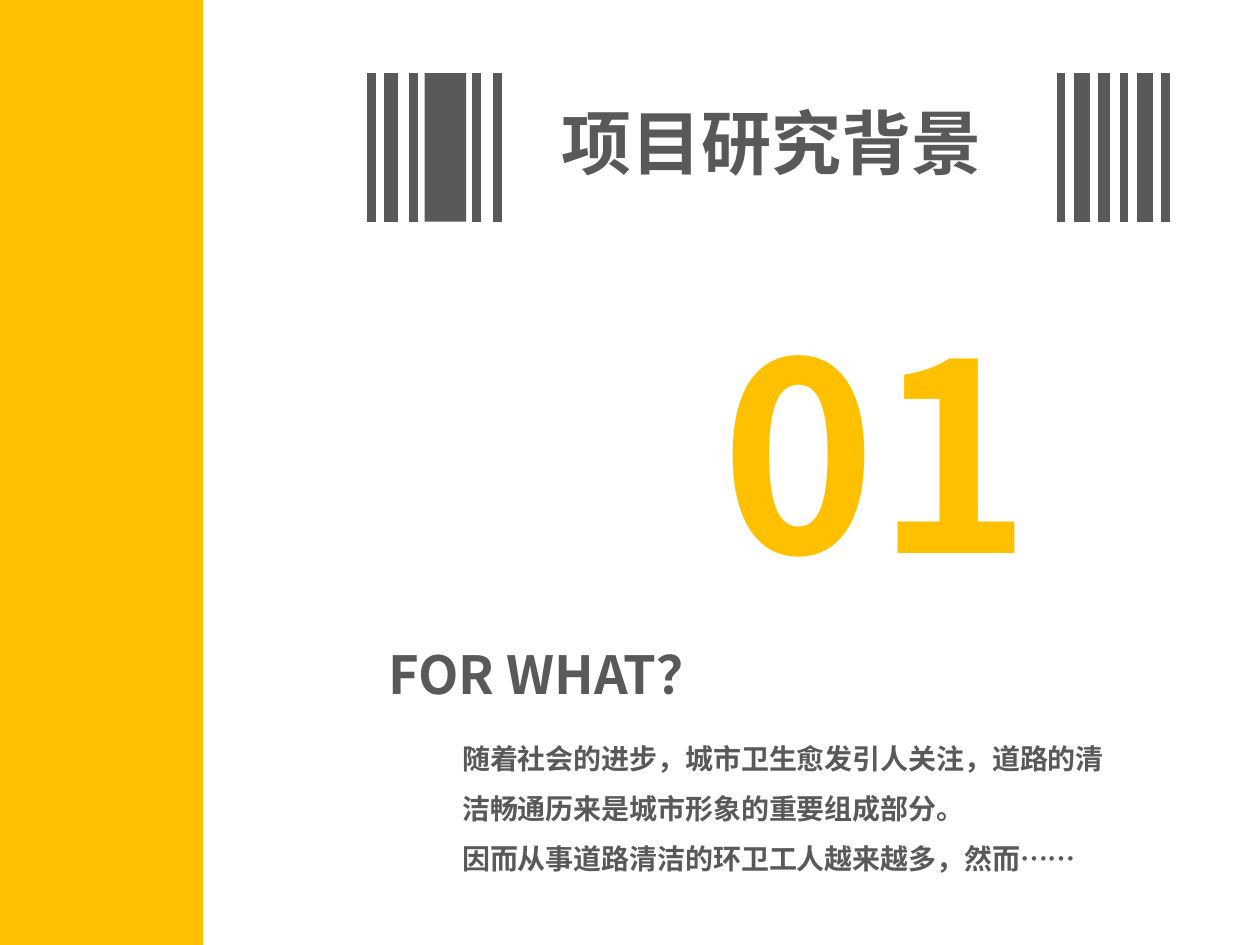
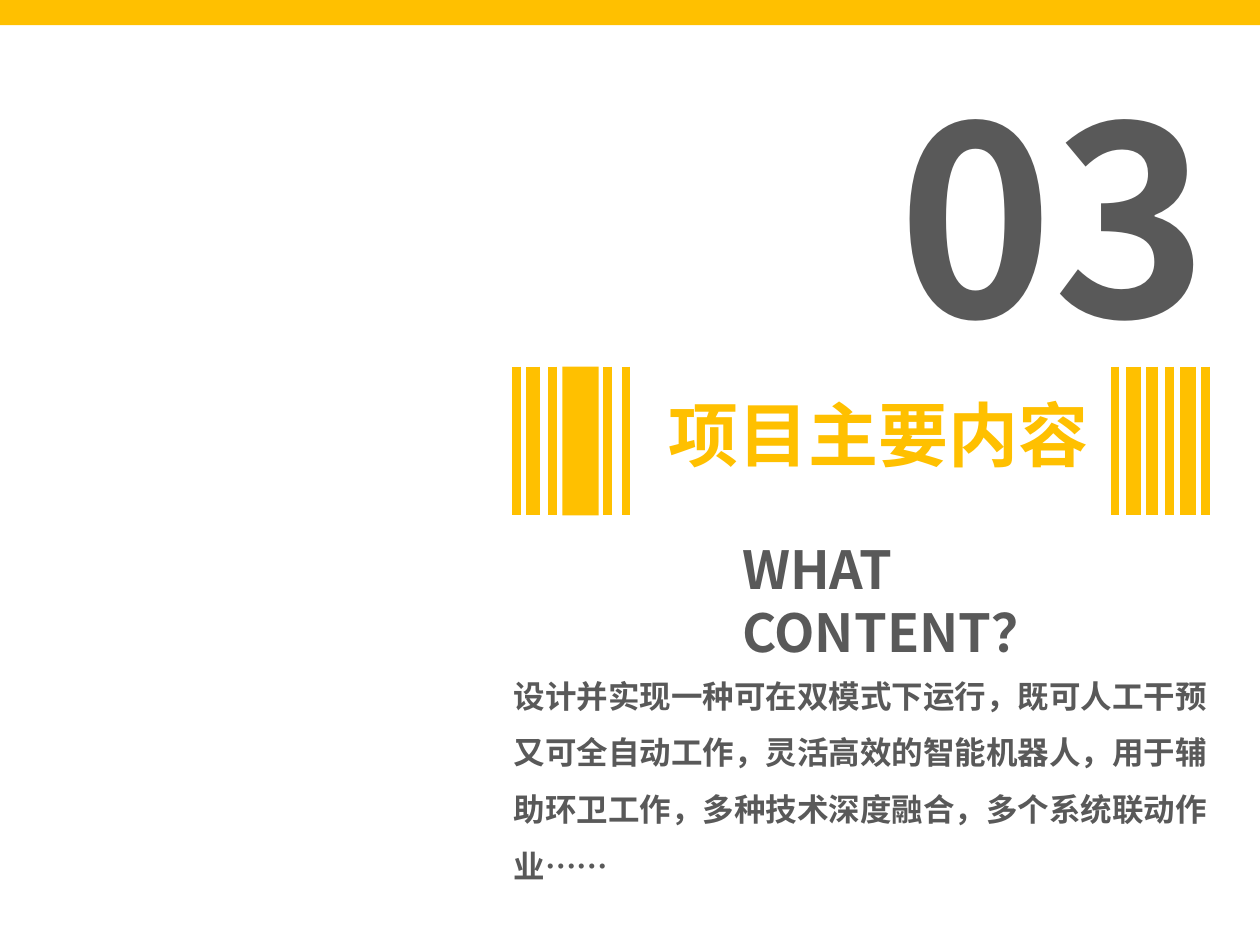
"""Build two section divider slides with barcode-framed headings."""
import pptx
import pptx.util
import pptx.dml.color
import pptx.enum.text
import pptx.enum.shapes
import pptx.oxml
import pptx.oxml.ns

Inches = pptx.util.Inches
YELLOW = pptx.dml.color.RGBColor(0xFF, 0xC0, 0x00)
GREY = pptx.dml.color.RGBColor(0x59, 0x59, 0x59)
FONT = "Noto Sans CJK SC"
HEADING_FONT = "Arial"

BAR_HEIGHT = 1.18
BAR_SPAN = 6.3
BLOCK = (0.42, 0.33)
BARS = [
    (0, 5), (0.15, 8), (0.33, 5), (0.83, 5), (1, 5),
    (5.47, 5), (5.64, 9), (5.81, 7), (5.97, 5), (6.14, 9), (6.3, 5),
]

SECTIONS = [
    {
        "band": (0, 0, 1.61, 7.5),
        "barcode": (2.95, 0.58, 6.3, GREY),
        "heading": ("项目研究背景", (4.36, 0.74, 3.57, 0.77)),
        "number": ("01", (5.63, 2.26, 2.96, 2.63), YELLOW),
        "question": ("FOR WHAT？", (2.98, 4.99, 3.23, 0.71)),
        "summary": (
            ["随着社会的进步，城市卫生愈发引人关注，道路的清洁畅通历来是城市形象的重要组成部分。",
             "因而从事道路清洁的环卫工人越来越多，然而……"],
            (3.57, 5.7, 5.47, 1.31), 16),
    },
    {
        "band": (0, 0, 10, 0.2),
        "barcode": (4.1, 2.91, 5.47, YELLOW),
        "heading": ("项目主要内容", (5.21, 3.06, 3.57, 0.77)),
        "number": ("03", (7.03, 0.39, 2.96, 2.72), GREY),
        "question": ("WHAT CONTENT？", (5.79, 4.41, 3.78, 0.71)),
        "summary": (
            ["设计并实现一种可在双模式下运行，既可人工干预又可全自动工作，灵活高效的智能机器人，"
             "用于辅助环卫工作，多种技术深度融合，多个系统联动作业……"],
            (3.98, 5.17, 5.8, 1.92), 18),
    },
]


def add_text(slide, paragraphs, place, size, color=GREY, font=FONT, spacing=1.0,
             wrap=True, anchor=pptx.enum.text.MSO_ANCHOR.TOP, holder=None):
    """Write bold paragraphs into a placeholder or a new text box."""
    left, top, width, height = map(Inches, place)
    if holder is None:
        holder = slide.shapes.add_textbox(left, top, width, height)
    else:
        holder.left, holder.top, holder.width, holder.height = left, top, width, height
    frame = holder.text_frame
    frame.auto_size = pptx.enum.text.MSO_AUTO_SIZE.NONE
    frame.word_wrap = wrap
    frame.vertical_anchor = anchor
    frame.text = "\n".join(paragraphs)
    for paragraph in frame.paragraphs:
        paragraph.alignment = pptx.enum.text.PP_ALIGN.LEFT
        paragraph.line_spacing = spacing
        for run in paragraph.runs:
            run.font.size = pptx.util.Pt(size)
            run.font.bold = True
            run.font.name = font
            run.font.color.rgb = color
            east_asian = pptx.oxml.parse_xml(
                f'<a:ea {pptx.oxml.ns.nsdecls("a")} typeface="{FONT}"/>')
            run.font._element.find(pptx.oxml.ns.qn("a:latin")).addnext(east_asian)


def add_block(slide, place, color):
    """Add a plain filled rectangle."""
    block = slide.shapes.add_shape(
        pptx.enum.shapes.MSO_SHAPE.RECTANGLE, *map(Inches, place))
    block.shadow.inherit = False
    block.fill.solid()
    block.fill.fore_color.rgb = color
    block.line.fill.background()


def add_barcode(slide, left, top, span, color):
    """Draw the bars on both sides of the heading, scaled to the span."""
    scale = span / BAR_SPAN
    offset, width = BLOCK
    add_block(slide, (left + offset * scale, top, width * scale, BAR_HEIGHT), color)
    for offset, weight in BARS:
        x = Inches(left + offset * scale)
        bar = slide.shapes.add_connector(
            pptx.enum.shapes.MSO_CONNECTOR.STRAIGHT,
            x, Inches(top), x, Inches(top + BAR_HEIGHT))
        bar.line.color.rgb = color
        bar.line.width = pptx.util.Pt(weight)
        bar._element.spPr.append(pptx.oxml.parse_xml(
            f'<a:effectLst {pptx.oxml.ns.nsdecls("a")}/>'))


def add_section(deck, section):
    """Add one section slide."""
    slide = deck.slides.add_slide(deck.slide_layouts[5])
    question, place = section["question"]
    add_text(slide, [question], place, 30, holder=slide.shapes.title,
             anchor=pptx.enum.text.MSO_ANCHOR.MIDDLE)
    summary, place, size = section["summary"]
    add_text(slide, summary, place, size, spacing=1.5)
    add_block(slide, section["band"], YELLOW)
    add_barcode(slide, *section["barcode"])
    heading, place = section["heading"]
    add_text(slide, [heading], place, 40, color=section["barcode"][-1],
             font=HEADING_FONT, wrap=False)
    number, place, color = section["number"]
    add_text(slide, [number], place, 150, color=color)


def main():
    """Build and save the deck."""
    deck = pptx.Presentation()
    deck.slide_width, deck.slide_height = Inches(10), Inches(7.5)
    for section in SECTIONS:
        add_section(deck, section)
    deck.save("out.pptx")


if __name__ == "__main__":
    main()
